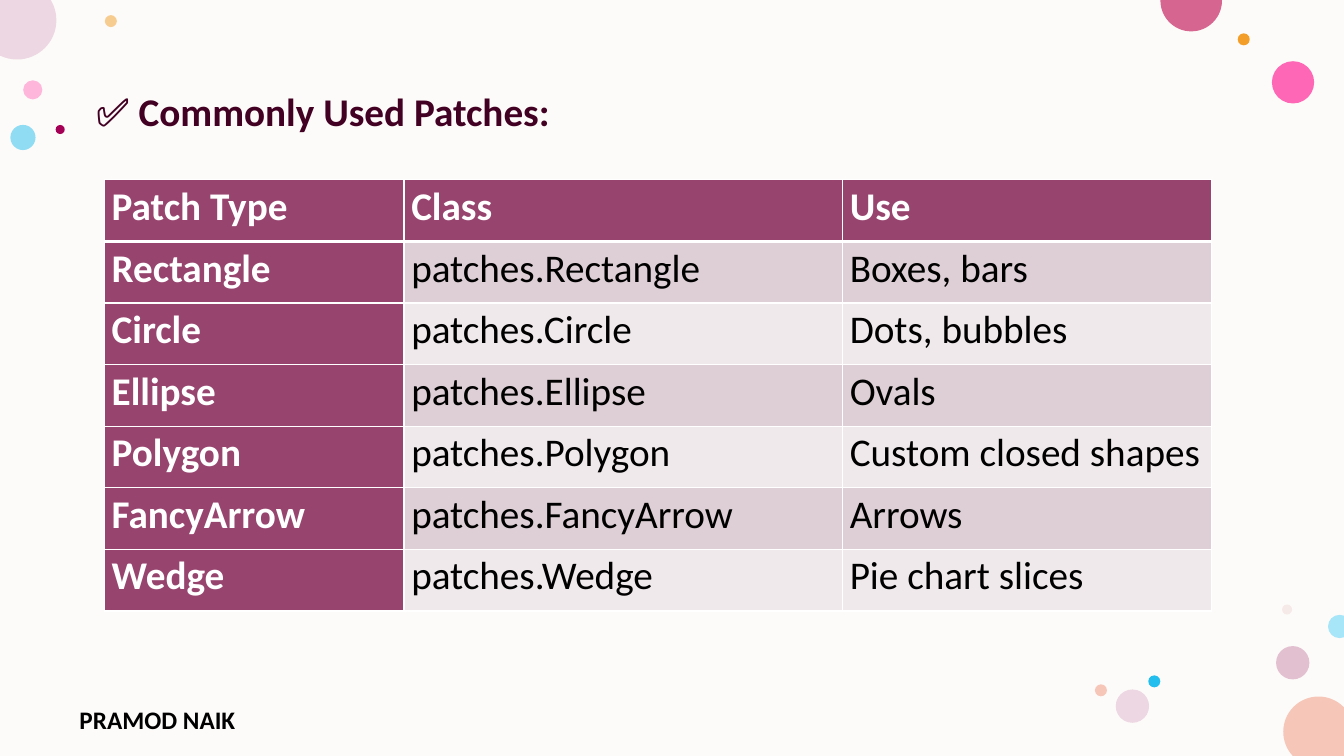
from dataclasses import dataclass
from math import cos, radians, sin, tan

from lxml import etree
from pptx import Presentation
from pptx.dml.color import RGBColor
from pptx.enum.shapes import MSO_SHAPE
from pptx.enum.text import MSO_ANCHOR, MSO_AUTO_SIZE, PP_ALIGN
from pptx.oxml.ns import qn
from pptx.util import Pt

OVAL = MSO_SHAPE.OVAL
RECTANGLE = MSO_SHAPE.RECTANGLE
TOP = MSO_ANCHOR.TOP
LEFT = PP_ALIGN.LEFT
NO_AUTOSIZE = MSO_AUTO_SIZE.NONE

PAGE_WIDTH, PAGE_HEIGHT = 960, 540


@dataclass(frozen=True)
class Theme:
    font: str = "Calibri"
    page: str = "FDFBF9"
    title: str = "420023"
    head: str = "97446E"
    bands: tuple = ("DDCFD5", "EFE9EB")
    light: str = "FFFFFF"
    dark: str = "000000"
    body_size: int = 28
    footer_size: int = 18


THEME = Theme()

# Centre x, centre y, diameter, colour, opacity in percent
BUBBLES = [
    (23.4, 64.2, 13.7, "FF75BD", 50),
    (79.2, 15.1, 8.6, "F39E29", 50),
    (923.4, 473.4, 23.8, "C987A8", 50),
    (16.4, 98.2, 18, "24BEEE", 50),
    (923.6, 58.8, 30.2, "FF2F9C", 72),
    (888.4, 28.1, 8.6, "F39E29", 100),
    (919.4, 435.4, 7.2, "E3BEBE", 28),
    (824.5, 486.7, 8.6, "24BEEE", 100),
    (808.9, 504.4, 23.8, "EDD7E2", 100),
    (786.4, 493.1, 8.6, "F6C7B9", 100),
    (43, 92.5, 6.5, "A40056", 100),
]

# Centre x, centre y, diameter, colour, start and end angle, page corners inside
CUT_BUBBLES = [
    (941.8, 522.7, 50.4, "F6C7B9", 136.6, 316.2, [(960, 540)]),
    (12.2, 14.4, 56.2, "EDD7E2", -30.8, 115.7, [(0, 0)]),
    (850.9, 0.4, 44, "D6658F", -1, 181, []),
    (956.9, 447.5, 16.6, "A7E5F8", 68.1, 291.9, []),
]

COLUMN_WIDTHS = (214, 313.2, 263.6)
ROW_HEIGHT = 44
PATCHES = [
    ("Patch Type", "Class", "Use"),
    ("Rectangle", "patches.Rectangle", "Boxes, bars"),
    ("Circle", "patches.Circle", "Dots, bubbles"),
    ("Ellipse", "patches.Ellipse", "Ovals"),
    ("Polygon", "patches.Polygon", "Custom closed shapes"),
    ("FancyArrow", "patches.FancyArrow", "Arrows"),
    ("Wedge", "patches.Wedge", "Pie chart slices"),
]


def set_fill(fill, color, opacity=100):
    fill.solid()
    fill.fore_color.rgb = RGBColor.from_string(color)
    if opacity < 100:
        color_node = fill._xPr.find(qn("a:solidFill"))[0]
        etree.SubElement(color_node, qn("a:alpha"), val=str(opacity * 1000))


def paint(shape, color, opacity=100):
    shape.shadow.inherit = False
    set_fill(shape.fill, color, opacity)
    shape.line.fill.background()


def write_text(frame, text, *, color, size=THEME.body_size, bold=False, line_spacing=1.0, space_after=0):
    para = frame.paragraphs[0]
    para.alignment = LEFT
    para.line_spacing = line_spacing
    para.space_before = Pt(0)
    para.space_after = Pt(space_after)
    span = para.add_run()
    span.text = text
    span.font.name = THEME.font
    span.font.size = Pt(size)
    span.font.bold = bold
    span.font.color.rgb = RGBColor.from_string(color)


def add_backdrop(page):
    backdrop = page.shapes.add_shape(RECTANGLE, 0, 0, Pt(PAGE_WIDTH), Pt(PAGE_HEIGHT))
    paint(backdrop, THEME.page)


def add_bubble(page, x, y, diameter, color, opacity):
    radius = diameter / 2
    bubble = page.shapes.add_shape(OVAL, Pt(x - radius), Pt(y - radius), Pt(diameter), Pt(diameter))
    paint(bubble, color, opacity)


def add_cut_bubble(page, x, y, diameter, color, start, end, corners):
    """Draw the part of a circle that lies on the page, with curved arc segments."""
    radius = diameter / 2
    quarters = [angle for angle in range(0, 360, 90) if start < angle < end]
    angles = [radians(angle) for angle in (start, *quarters, end)]

    def arc_point(angle, pull=0.0):
        """Give a point on the arc, or one moved along its tangent by pull."""
        point_x = x + radius * (cos(angle) - pull * sin(angle))
        point_y = y + radius * (sin(angle) + pull * cos(angle))
        return Pt(min(max(point_x, 0), PAGE_WIDTH)), Pt(min(max(point_y, 0), PAGE_HEIGHT))

    points = [arc_point(angle) for angle in angles] + [(Pt(a), Pt(b)) for a, b in corners]
    outline = page.shapes.build_freeform(*points[0])
    outline.add_line_segments(points[1:], close=True)
    bubble = outline.convert_to_shape()
    paint(bubble, color)

    segments = list(bubble._element.iter(qn("a:lnTo")))
    for segment, first, last in zip(segments, angles, angles[1:]):
        pull = 4 / 3 * tan((last - first) / 4)
        segment.tag = qn("a:cubicBezTo")
        for index, control in enumerate((arc_point(first, pull), arc_point(last, -pull))):
            node = etree.Element(qn("a:pt"), x=str(control[0] - bubble.left), y=str(control[1] - bubble.top))
            segment.insert(index, node)


def add_title(page, text):
    title = page.shapes.title
    title.left, title.top, title.width, title.height = Pt(61.2), Pt(62.6), Pt(839.5), Pt(44)
    frame = title.text_frame
    frame.word_wrap = True
    frame.auto_size = NO_AUTOSIZE
    frame.vertical_anchor = TOP
    write_text(frame, text, color=THEME.title, bold=True, line_spacing=0.9)


def add_footer(page, text):
    box = page.shapes.add_textbox(Pt(49.7), Pt(499.7), Pt(176.4), Pt(29))
    box.text_frame.word_wrap = True
    write_text(box.text_frame, text, color=THEME.dark, size=THEME.footer_size, bold=True)


def set_borders(cell, top=1, bottom=1):
    properties = cell._tc.get_or_add_tcPr()
    for side, width in (("L", 1), ("R", 1), ("T", top), ("B", bottom)):
        line = etree.SubElement(properties, qn(f"a:ln{side}"), w=str(Pt(width)))
        fill = etree.SubElement(line, qn("a:solidFill"))
        etree.SubElement(fill, qn("a:srgbClr"), val=THEME.light)


def add_patch_table(page):
    frame = page.shapes.add_table(
        len(PATCHES), len(COLUMN_WIDTHS), Pt(74.6), Pt(128.4),
        Pt(sum(COLUMN_WIDTHS)), Pt(ROW_HEIGHT * len(PATCHES)),
    )
    table = frame.table
    table.first_col = True
    table.horz_banding = False
    for column, width in zip(table.columns, COLUMN_WIDTHS):
        column.width = Pt(width)
    for row_index, values in enumerate(PATCHES):
        table.rows[row_index].height = Pt(ROW_HEIGHT)
        for column_index, value in enumerate(values):
            cell = table.cell(row_index, column_index)
            is_head = row_index == 0 or column_index == 0
            cell.margin_left = cell.margin_right = Pt(5.2)
            cell.margin_top = cell.margin_bottom = Pt(0)
            set_borders(cell, top=3 if row_index == 1 else 1, bottom=3 if row_index == 0 else 1)
            set_fill(cell.fill, THEME.head if is_head else THEME.bands[(row_index - 1) % 2])
            write_text(
                cell.text_frame, value, color=THEME.light if is_head else THEME.dark,
                bold=is_head, line_spacing=1.07, space_after=8,
            )


def main():
    deck = Presentation()
    deck.slide_width, deck.slide_height = Pt(PAGE_WIDTH), Pt(PAGE_HEIGHT)
    page = deck.slides.add_slide(deck.slide_layouts.get_by_name("Title Only"))
    add_backdrop(page)
    for bubble in BUBBLES:
        add_bubble(page, *bubble)
    for cut_bubble in CUT_BUBBLES:
        add_cut_bubble(page, *cut_bubble)
    add_footer(page, "PRAMOD NAIK")
    # The placeholder is moved in front of the backdrop.
    page.shapes._spTree.append(page.shapes.title._element)
    add_title(page, "✅ Commonly Used Patches:")
    add_patch_table(page)
    deck.save("out.pptx")


if __name__ == "__main__":
    main()
